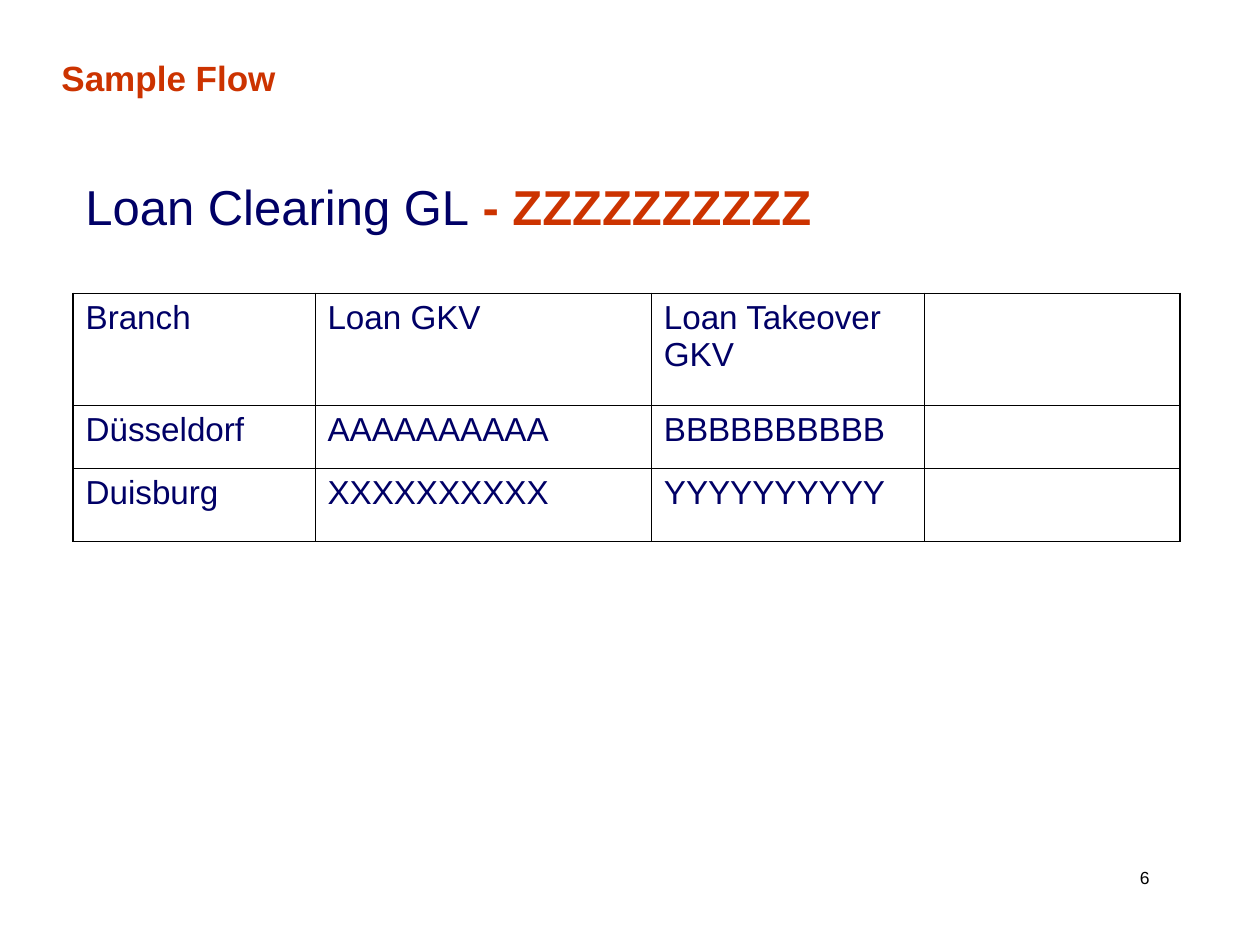
from lxml.etree import SubElement
from pptx import Presentation
from pptx.dml.color import RGBColor
from pptx.enum.text import MSO_ANCHOR as ANCHOR, PP_ALIGN as ALIGN
from pptx.oxml.ns import qn
from pptx.util import Pt

NAVY, RED, BLACK = "000066", "CC3300", "000000"
THIN, THICK = 0.45, 1.08
COLUMNS = [138.24, 192.24, 156.24, 146]
ROWS = [64, 36, 41.76]
BRANCHES = [
    ["Branch", "Loan GKV", "Loan Takeover GKV", ""],
    ["Düsseldorf", "AAAAAAAAAA", "BBBBBBBBBB", ""],
    ["Duisburg", "XXXXXXXXXX", "YYYYYYYYYY", ""],
]


def rgb(value):
    return RGBColor.from_string(value)


class Deck:
    font = "Arial"

    def __init__(self, width, height):
        self.prs = Presentation()
        self.prs.slide_width, self.prs.slide_height = Pt(width), Pt(height)
        self.s = self.prs.slides.add_slide(self.prs.slide_layouts[6])

    def add_runs(self, tf, runs, size, **paragraph):
        """Fill the first paragraph with (text, colour, bold) runs."""
        p = tf.paragraphs[0]
        for name, value in paragraph.items():
            setattr(p, name, value)
        for text, color, bold in runs:
            r = p.add_run()
            r.text = text
            for name, value in dict(name=self.font, size=Pt(size), bold=bold).items():
                setattr(r.font, name, value)
            r.font.color.rgb = rgb(color)

    def text(self, box, runs, size, anchor=ANCHOR.TOP, **paragraph):
        tf = self.s.shapes.add_textbox(*map(Pt, box)).text_frame
        tf.word_wrap = True
        tf.vertical_anchor = anchor
        self.add_runs(tf, runs, size, **paragraph)

    def border(self, cell, widths):
        """Draw the left, right, top and bottom lines of a cell."""
        tc_pr = cell._tc.get_or_add_tcPr()
        for i, (side, width) in enumerate(zip("LRTB", widths)):
            ln = SubElement(tc_pr, qn(f"a:ln{side}"), w=str(Pt(width)))
            fill = SubElement(ln, qn("a:solidFill"))
            SubElement(fill, qn("a:srgbClr"), val=BLACK)
            tc_pr.insert(i, ln)

    def table(self, left, top, columns, rows, texts, size):
        n_rows, n_cols = len(rows), len(columns)
        box = map(Pt, (left, top, sum(columns), sum(rows)))
        table = self.s.shapes.add_table(n_rows, n_cols, *box).table
        table.first_row = table.horz_banding = False
        for column, width in zip(table.columns, columns):
            column.width = Pt(width)
        for i, (row, height) in enumerate(zip(table.rows, rows)):
            row.height = Pt(height)
            for j, cell in enumerate(row.cells):
                cell.fill.background()
                outer = (j == 0, j == n_cols - 1, i == 0, i == n_rows - 1)
                self.border(cell, [THICK if edge else THIN for edge in outer])
                if texts[i][j]:
                    self.add_runs(cell.text_frame, [(texts[i][j], NAVY, False)], size,
                                  space_before=Pt(4.8))


def main():
    deck = Deck(720, 540)
    deck.text((606.24, 491.76, 95.76, 19.44), [("6", BLACK, False)], 10,
              alignment=ALIGN.CENTER, space_before=Pt(6.2))
    deck.text((28, 15, 530, 62), [("Sample Flow", RED, True)], 20,
              anchor=ANCHOR.MIDDLE, line_spacing=0.85)
    deck.table(41.76, 167.76, COLUMNS, ROWS, BRANCHES, 19)
    deck.text((41.76, 102.24, 648, 36),
              [("Loan Clearing GL", NAVY, False), (" - ZZZZZZZZZZ", RED, True)], 28,
              line_spacing=0.85, space_before=Pt(17.5))
    deck.prs.save("out.pptx")


if __name__ == "__main__":
    main()
